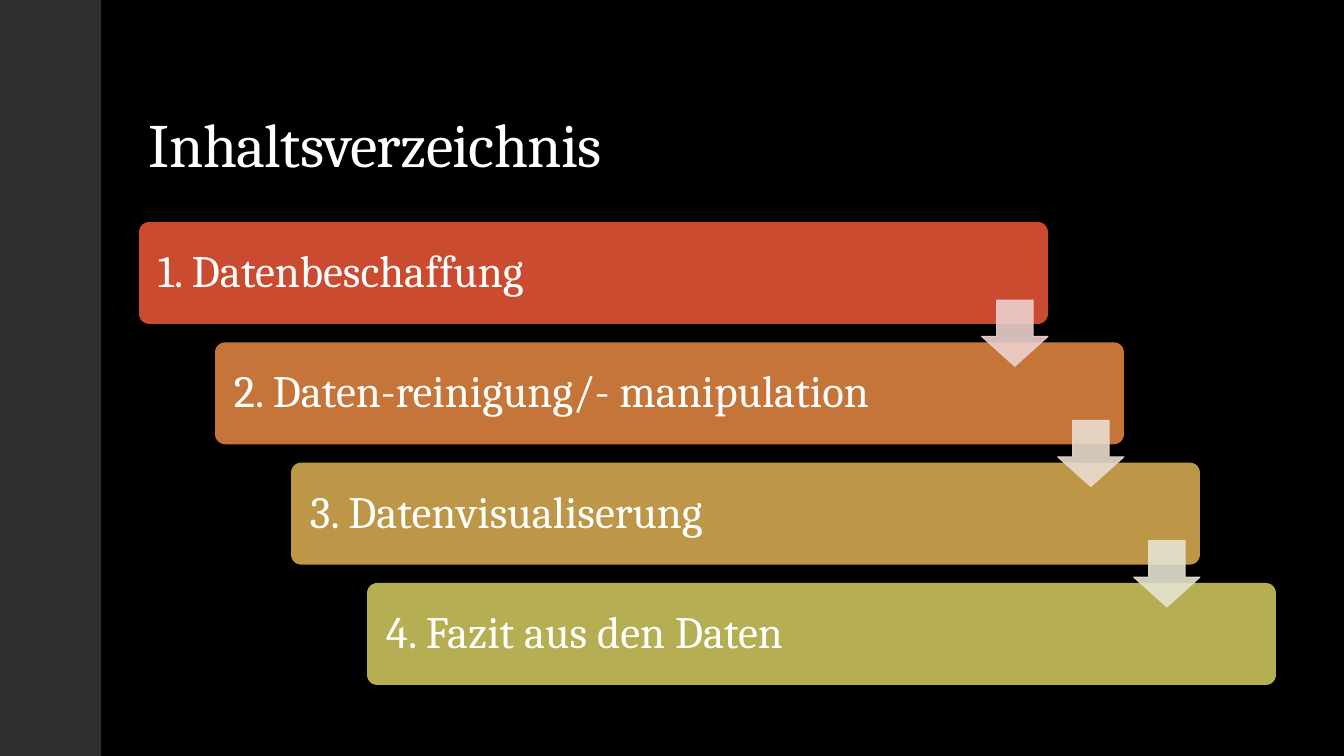
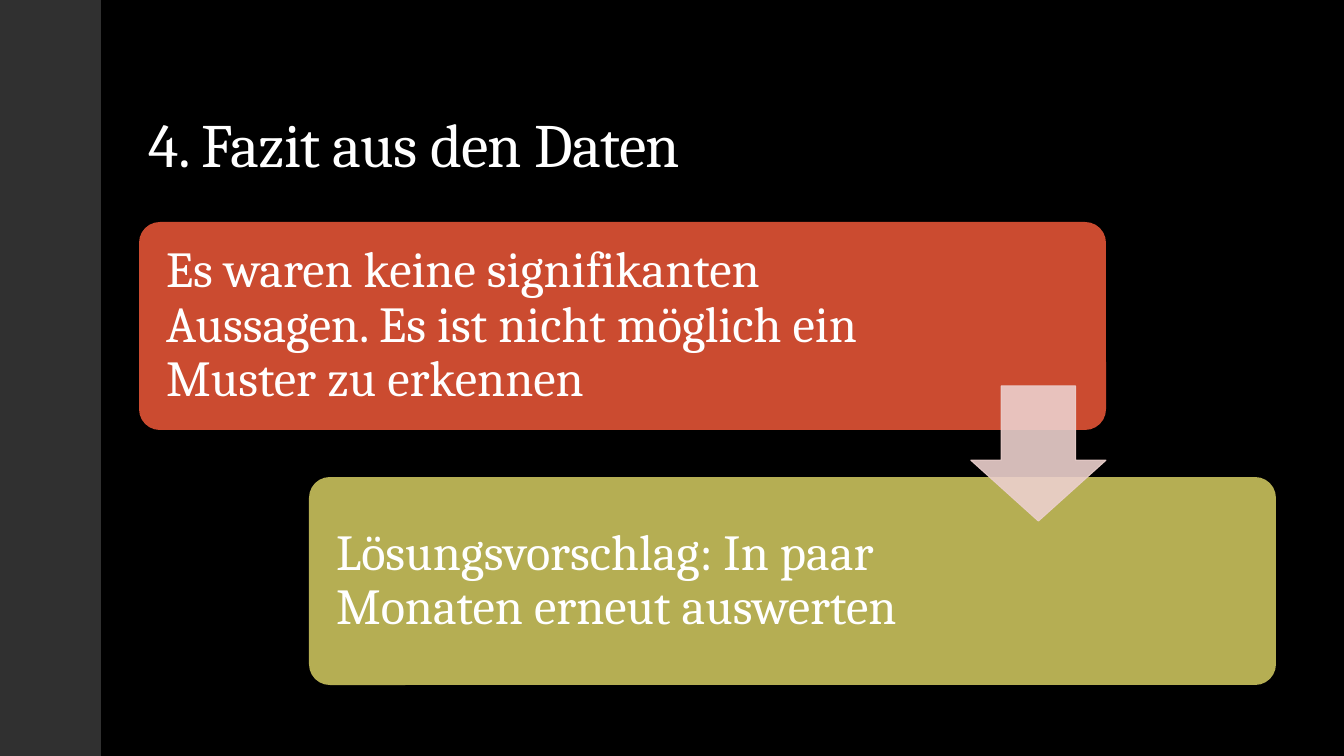
import pptx
import pptx.util
import pptx.dml.color
import pptx.enum.shapes
import pptx.enum.text
import pptx.oxml.ns
import lxml.etree

# Content: each step is text, room for the text in px, fill, arrow tint
DECK = [
    {"title": "Inhaltsverzeichnis", "wide": 909, "high": 102, "inset": 16, "size": 32,
     "steps": [
         ("1. Datenbeschaffung", 765, "CB4B30", "ECD0CD"),
         ("2. Daten-reinigung/- manipulation", 735, "C5753A", "E9DBCF"),
         ("3. Datenvisualiserung", 735, "BD9747", "E5E3D1"),
         ("4. Fazit aus den Daten", 735, "B5AE53", None),
     ]},
    {"title": "4. Fazit aus den Daten", "wide": 967, "high": 208, "inset": 21, "size": 36,
     "steps": [
         ("Es waren keine signifikanten Aussagen. Es ist nicht möglich ein Muster zu erkennen",
          721, "CB4B30", "ECD0CD"),
         ("Lösungsvorschlag: In paar Monaten erneut auswerten", 618, "B5AE53", None),
     ]},
]

# Shared look, lengths in px
SCALE = 914400 / 100.8
PAGE = (1344, 756)
BAND = (0, 0, 101, 756)
TITLE = (139, 40, 1137, 146)
AREA = (139, 222, 1137, 463)
FONT, WHITE, BLACK, GRAY = "Cambria", "FFFFFF", "000000", "303030"
KIND = pptx.enum.shapes.MSO_SHAPE
ANCHOR = pptx.enum.text.MSO_ANCHOR


def px(n):
    return pptx.util.Emu(round(n * SCALE))


def color(code):
    return pptx.dml.color.RGBColor.from_string(code)


def fade(fill, share):
    """Set the opacity of a solid fill, in percent."""
    tint = fill._xPr.find(".//" + pptx.oxml.ns.qn("a:srgbClr"))
    lxml.etree.SubElement(tint, pptx.oxml.ns.qn("a:alpha"), val=str(share * 1000))


def shape(slide, kind, place, code, adjust=()):
    item = slide.shapes.add_shape(kind, *map(px, place))
    item.shadow.inherit = False
    item.fill.solid()
    item.fill.fore_color.rgb = color(code)
    item.line.fill.background()
    for i, part in enumerate(adjust):
        item.adjustments[i] = part
    return item


def write(item, text, size, **form):
    frame = item.text_frame
    frame.word_wrap = True
    for key, value in form.items():
        setattr(frame, key, value)
    para = frame.paragraphs[0]
    para.alignment = pptx.enum.text.PP_ALIGN.LEFT
    para.line_spacing = 0.9
    run = para.add_run()
    run.text = text
    for key, value in {"name": FONT, "size": pptx.util.Pt(size)}.items():
        setattr(run.font, key, value)
    run.font.color.rgb = color(WHITE)
    return run


def frame(deck, title):
    """Add a slide with its background, title and side band."""
    slide = deck.slides.add_slide(deck.slide_layouts[6])
    slide.background.fill.solid()
    slide.background.fill.fore_color.rgb = color(BLACK)
    box = slide.shapes.add_textbox(*map(px, TITLE))
    run = write(box, title, 44, vertical_anchor=ANCHOR.BOTTOM)
    run.font._element.set("spc", "-50")
    shape(slide, KIND.RECTANGLE, BAND, GRAY)
    return slide


def stairs(slide, page):
    """Step boxes from the top left to the bottom right of the area."""
    left, top, width, height = AREA
    wide, high, inset, steps = (page[k] for k in ("wide", "high", "inset", "steps"))
    across = (width - wide) / (len(steps) - 1)
    down = (height - high) / (len(steps) - 1)
    spots = [(left + i * across, top + i * down) for i in range(len(steps))]

    for (x, y), (text, room, code, _) in zip(spots, steps):
        box = shape(slide, KIND.ROUNDED_RECTANGLE, (x, y, wide, high), code, [0.1])
        write(box, text, page["size"], vertical_anchor=ANCHOR.MIDDLE,
              margin_left=px(inset), margin_right=px(wide - inset - room),
              margin_top=px(inset), margin_bottom=px(inset))

    # Arrows flush with the right edge, centred on each gap
    side = 0.65 * high
    for (x, y), (_, _, _, tint) in zip(spots[:-1], steps):
        place = (x + wide - side, y + (high + down - side) / 2, side, side)
        arrow = shape(slide, KIND.DOWN_ARROW, place, tint, [0.55, 0.45])
        arrow.line.color.rgb = color(tint)
        arrow.line.width = pptx.util.Pt(0.75)
        fade(arrow.fill, 90)
        fade(arrow.line.fill, 90)


def main():
    deck = pptx.Presentation()
    deck.slide_width, deck.slide_height = map(px, PAGE)
    for page in DECK:
        stairs(frame(deck, page["title"]), page)
    deck.save("out.pptx")


if __name__ == "__main__":
    main()
